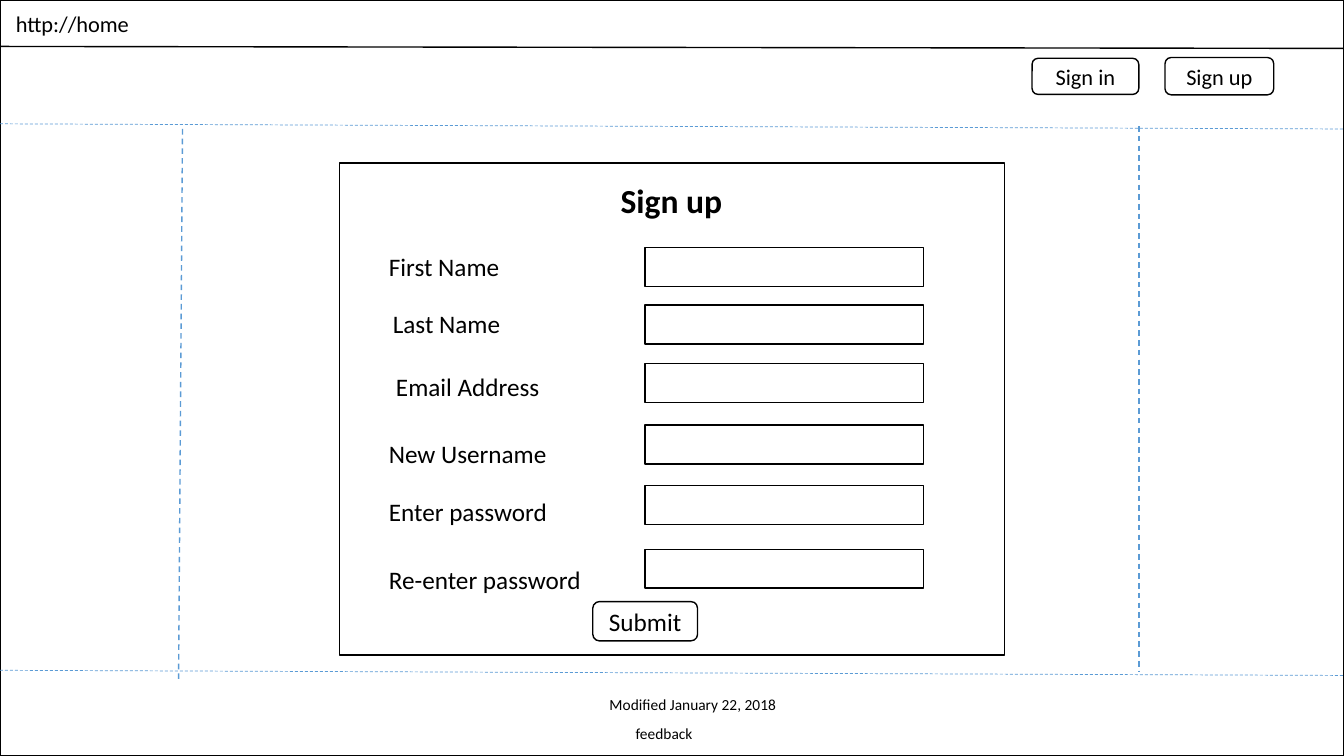
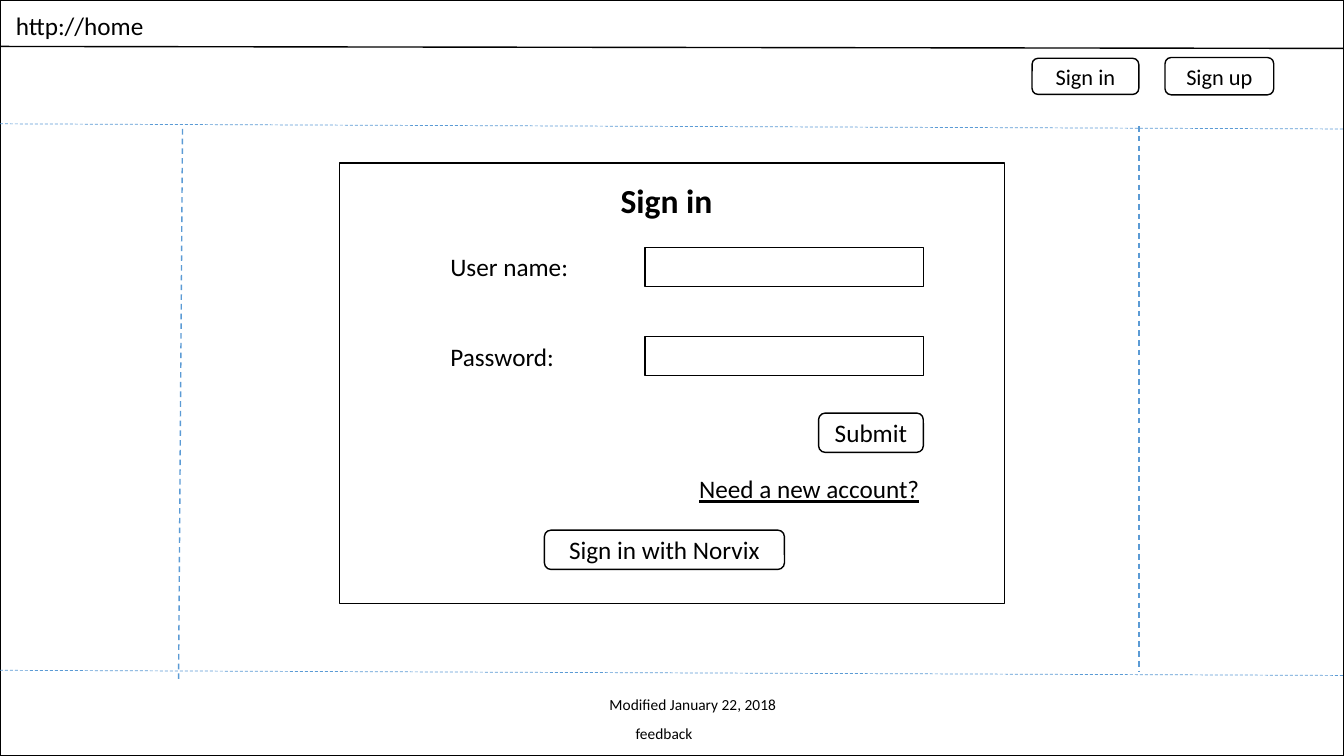
import pptx
import pptx.util
import pptx.dml.color
import pptx.enum.dml
import pptx.enum.shapes
import pptx.enum.text
import lxml.etree

Cm = pptx.util.Cm
Pt = pptx.util.Pt
SHAPES = pptx.enum.shapes.MSO_SHAPE
FONT = "Calibri"
INK = "000000"
PAPER = "FFFFFF"
GUIDE = "5B9BD5"
PAGE_WIDTH, PAGE_HEIGHT = 33.87, 19.05
CARD_LEFT, CARD_TOP, CARD_WIDTH = 8.56, 4.11, 16.76
FIELD_LEFT, FIELD_WIDTH, FIELD_HEIGHT = 7.7, 7.01, 0.98
BUTTON_HEIGHT = 0.99
DRAWING = "http://schemas.openxmlformats.org/drawingml/2006/main"


def colour(value):
    return pptx.dml.color.RGBColor.from_string(value)


def place(box):
    return [Cm(length) for length in box]


def add_run(frame, words, size, bold=False, underline=False):
    para = frame.paragraphs[0]
    span = para.add_run()
    span.text = words
    span.font.name = FONT
    span.font.size = Pt(size)
    span.font.bold = bold
    span.font.underline = underline
    span.font.color.rgb = colour(INK)
    return para


def add_label(page, box, words, size=18, **style):
    label = page.shapes.add_textbox(*place(box))
    label.text_frame.word_wrap = True
    add_run(label.text_frame, words, size, **style)


def add_frame(page, box, kind=SHAPES.RECTANGLE, fill=None):
    frame = page.shapes.add_shape(kind, *place(box))
    frame.shadow.inherit = False
    if fill:
        frame.fill.solid()
        frame.fill.fore_color.rgb = colour(fill)
    else:
        frame.fill.background()
    frame.line.color.rgb = colour(INK)
    frame.line.width = Pt(1)
    return frame


def add_button(page, box, words, size=18):
    button = add_frame(page, box, SHAPES.ROUNDED_RECTANGLE, PAPER)
    text = button.text_frame
    text.margin_left = text.margin_right = text.margin_top = text.margin_bottom = 0
    text.vertical_anchor = pptx.enum.text.MSO_ANCHOR.MIDDLE
    para = add_run(text, words, size)
    para.alignment = pptx.enum.text.PP_ALIGN.CENTER


def add_rule(page, ends, ink, width, dashed=True):
    straight = pptx.enum.shapes.MSO_CONNECTOR.STRAIGHT
    rule = page.shapes.add_connector(straight, *place(ends))
    rule.line.color.rgb = colour(ink)
    rule.line.width = Pt(width)
    if dashed:
        rule.line.dash_style = pptx.enum.dml.MSO_LINE.DASH
    properties = rule.line._get_or_add_ln().getparent()
    lxml.etree.SubElement(properties, "{%s}effectLst" % DRAWING)


def add_browser(page, address_size):
    add_frame(page, (0, 0, PAGE_WIDTH, PAGE_HEIGHT))
    add_rule(page, (0, 1.17, PAGE_WIDTH, 1.22), INK, 1, dashed=False)
    add_label(page, (0.15, 0.13, 6.32, 0.98), "http://home", address_size)
    for top in (3.12, 16.89):
        add_rule(page, (0, top, PAGE_WIDTH, top + 0.13), GUIDE, 0.5)
    add_rule(page, (4.6, 3.25, 4.5, 17.12), GUIDE, 1)
    add_rule(page, (28.7, 3.18, 28.7, 16.94), GUIDE, 1)
    add_button(page, (26.01, 1.47, 2.69, 0.91), "Sign in", 16)
    add_button(page, (29.36, 1.45, 2.74, 0.94), "Sign up", 16)
    add_label(page, (15.11, 17.4, 7.72, 0.74), "Modified January 22, 2018", 11)
    add_label(page, (15.77, 18.11, 3.58, 0.74), "feedback", 11)


def add_card(page, box, title, fields, buttons):
    left, top = box[:2]
    add_frame(page, box)
    add_label(page, (left + 6.83, top + 0.3, 3.58, 1.27), title, 24, bold=True)
    for words, label_left, label_top, field_top in fields:
        add_label(page, (left + label_left, top + label_top, 6.2, 1.02), words)
        add_frame(page, (left + FIELD_LEFT, top + field_top, FIELD_WIDTH, FIELD_HEIGHT))
    for words, button_left, button_top, width in buttons:
        add_button(page, (left + button_left, top + button_top, width, BUTTON_HEIGHT), words)


def add_sign_up(page):
    add_browser(page, 16)
    fields = [
        ("First Name", 0.99, 2.11, 2.13),
        ("Last Name", 1.09, 3.53, 3.58),
        ("Email Address", 1.17, 5.11, 5.05),
        ("New Username", 0.99, 6.81, 6.6),
        ("Enter password", 0.99, 8.28, 8.13),
        ("Re-enter password", 0.99, 9.98, 9.73),
    ]
    buttons = [("Submit", 6.38, 11.05, 2.64)]
    add_card(page, (CARD_LEFT, CARD_TOP, CARD_WIDTH, 12.4), "Sign up", fields, buttons)


def add_sign_in(page):
    add_browser(page, 18)
    fields = [("User name:", 2.54, 2.11, 2.13), ("Password:", 2.54, 4.37, 4.37)]
    buttons = [("Submit", 12.07, 6.3, 2.64), ("Sign in with Norvix", 5.16, 9.25, 6.05)]
    add_card(page, (CARD_LEFT, CARD_TOP, CARD_WIDTH, 11.1), "Sign in", fields, buttons)
    account_box = (CARD_LEFT + 8.81, CARD_TOP + 7.7, 7.7, 1.02)
    add_label(page, account_box, "Need a new account?", underline=True)


deck = pptx.Presentation()
deck.slide_width, deck.slide_height = Cm(PAGE_WIDTH), Cm(PAGE_HEIGHT)
for build in (add_sign_up, add_sign_in):
    build(deck.slides.add_slide(deck.slide_layouts[6]))
deck.save("out.pptx")
